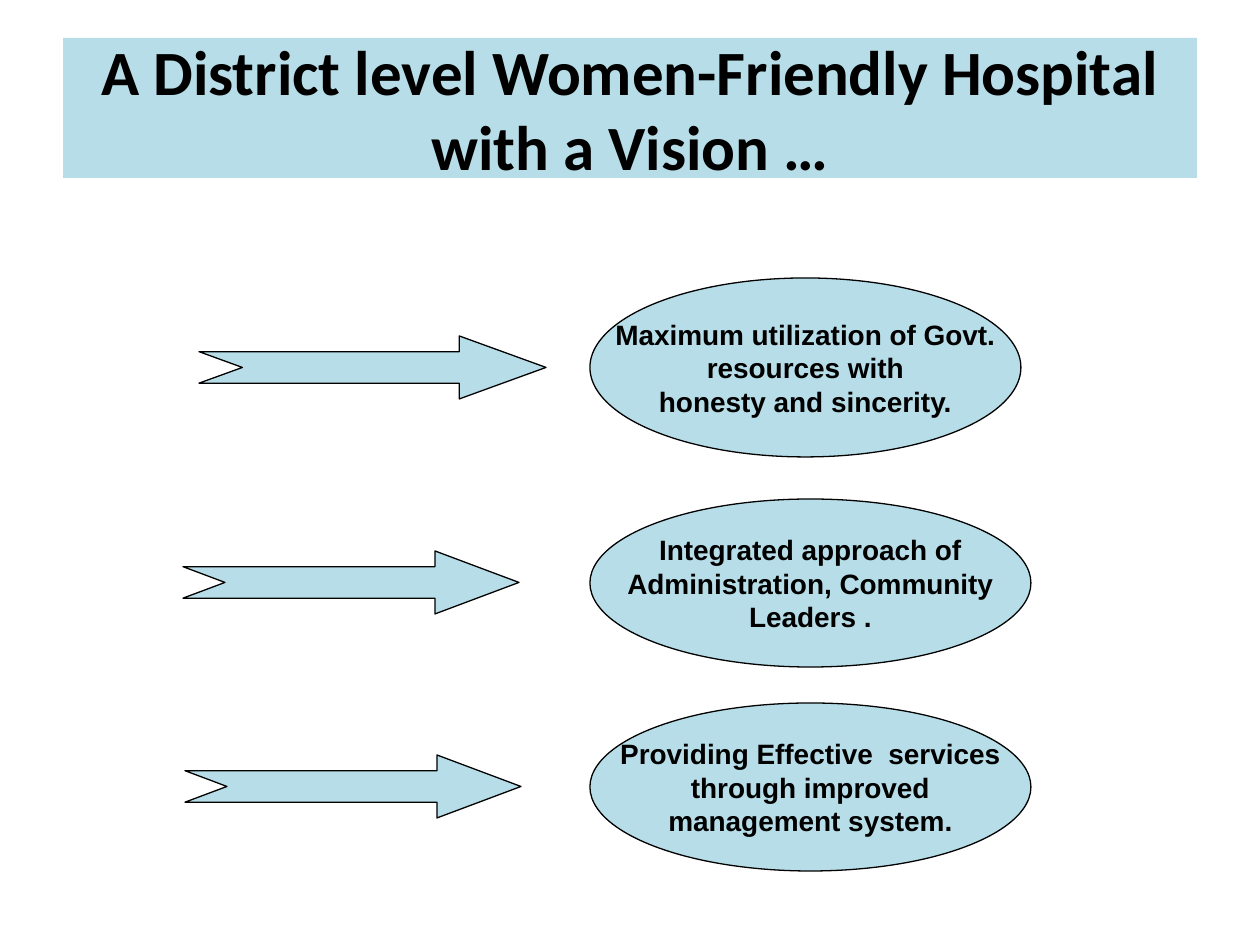
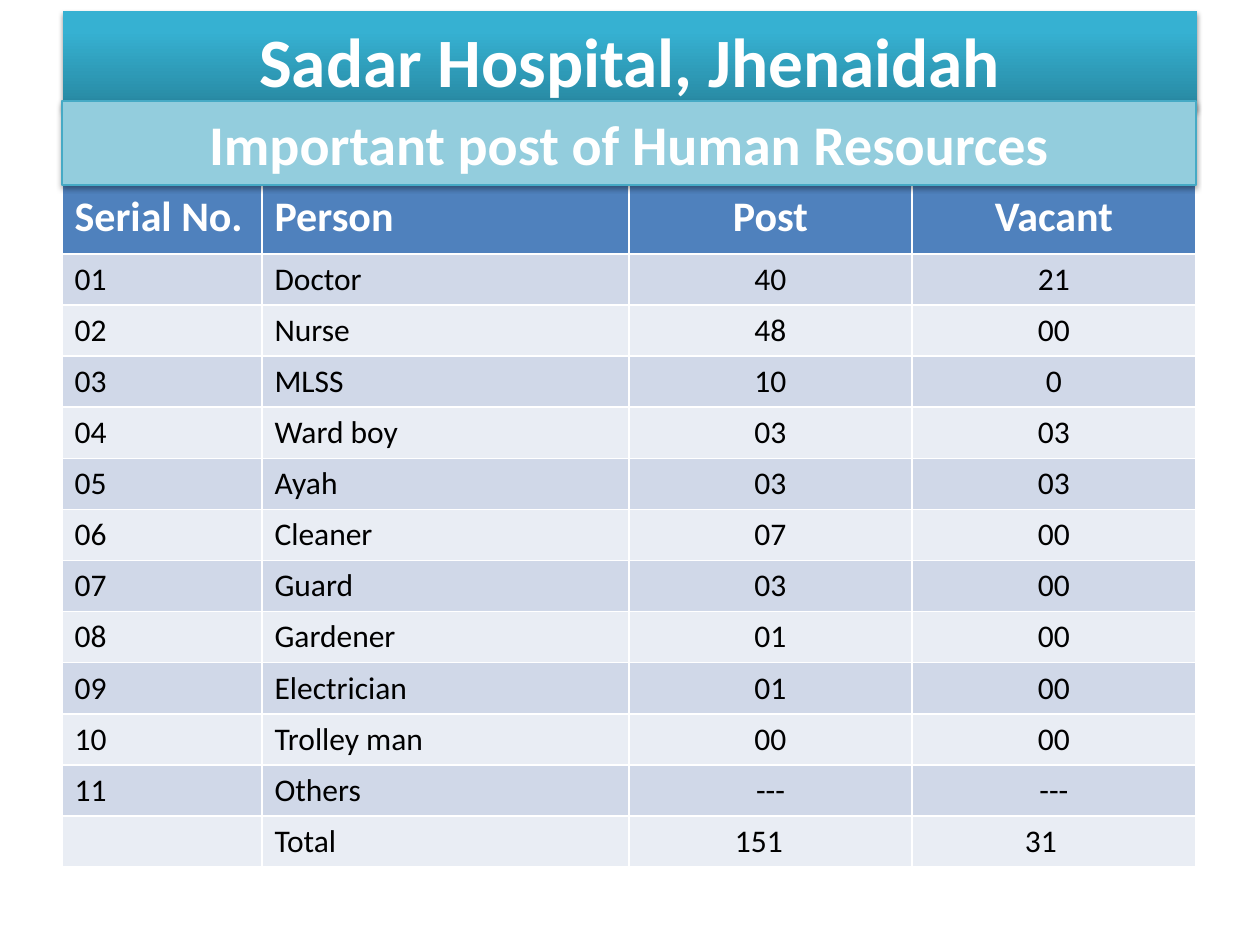
from lxml import etree
from pptx import Presentation
from pptx.dml.color import RGBColor
from pptx.enum.shapes import MSO_SHAPE
from pptx.enum.text import MSO_ANCHOR, MSO_AUTO_SIZE, PP_ALIGN
from pptx.oxml.ns import qn
from pptx.util import Inches, Pt

BLACK = RGBColor(0x00, 0x00, 0x00)
WHITE = RGBColor(0xFF, 0xFF, 0xFF)
PALE_AQUA = RGBColor(0xB7, 0xDE, 0xE8)
SOFT_AQUA = RGBColor(0x93, 0xCD, 0xDD)
AQUA_EDGE = RGBColor(0x46, 0xAA, 0xC5)
BRIGHT_AQUA = RGBColor(0x36, 0xB1, 0xD2)
DEEP_AQUA = RGBColor(0x27, 0x87, 0xA0)
HEADER_BLUE = RGBColor(0x4F, 0x81, 0xBD)
BANDS = RGBColor(0xD0, 0xD8, 0xE8), RGBColor(0xE9, 0xED, 0xF4)

PX = Inches(1) // 126
BAND_WIDTH = 1134

VISION_TITLE = "A District level Women-Friendly Hospital with a Vision …"
# Ellipse top, width and height; arrow left and width; lines of text
ELLIPSE_LEFT, ARROW_HEIGHT = 590, 63
GOALS = [
    ((278, 431, 179), (199, 347),
     ["Maximum utilization of Govt.", "resources with", "honesty and sincerity."]),
    ((499, 441, 168), (183, 336),
     ["Integrated approach of", "Administration, Community", "Leaders ."]),
    ((703, 441, 168), (185, 336),
     ["Providing Effective  services", "through improved", "management system."]),
]

STAFF_TITLE = "Sadar Hospital, Jhenaidah"
STAFF_SUBTITLE = "Important post of Human Resources"
COLUMN_WIDTHS = [200, 367, 283, 284]
HEADER_HEIGHT, ROW_HEIGHT = 69, 51
TOTAL_INDENTS = {2: 106, 3: 113}
STAFF = [
    ("Serial No.", "Person", "Post", "Vacant"),
    ("01", "Doctor", "40", "21"),
    ("02", "Nurse", "48", "00"),
    ("03", "MLSS", "10", "0"),
    ("04", "Ward boy", "03", "03"),
    ("05", "Ayah", "03", "03"),
    ("06", "Cleaner", "07", "00"),
    ("07", "Guard", "03", "00"),
    ("08", "Gardener", "01", "00"),
    ("09", "Electrician", "01", "00"),
    ("10", "Trolley man", "00", "00"),
    ("11", "Others", "---", "---"),
    ("", "Total", "151", "31"),
]


def px(*lengths):
    return [length * PX for length in lengths]


def write(frame, lines, size, color, font="Calibri", bold=True, align=PP_ALIGN.CENTER):
    frame.text = "\n".join(lines)
    for para in frame.paragraphs:
        para.alignment = align
        para.font.name = font
        para.font.size = Pt(size)
        para.font.bold = bold
        para.font.color.rgb = color


def add_titled_slide(deck, title, place, size, color):
    slide = deck.slides.add_slide(deck.slide_layouts[5])
    box = slide.shapes.title
    box.left, box.top, box.width, box.height = px(*place)
    write(box.text_frame, [title], size, color)
    box.text_frame.auto_size = MSO_AUTO_SIZE.NONE
    box.text_frame.vertical_anchor = MSO_ANCHOR.MIDDLE
    return slide


def add_shape(slide, kind, place, fill, line):
    shape = slide.shapes.add_shape(kind, *px(*place))
    shape.shadow.inherit = False
    shape.fill.solid()
    shape.fill.fore_color.rgb = fill
    shape.line.color.rgb = line
    shape.line.width = Pt(0.75)
    return shape


def drop_shadow(shape):
    shape.shadow.inherit = False
    effects = shape._element.spPr.find(qn("a:effectLst"))
    shadow = etree.SubElement(effects, qn("a:outerShdw"), blurRad=str(Pt(3.1)),
                              dist=str(Pt(1.6)), dir="5400000", rotWithShape="0")
    color = etree.SubElement(shadow, qn("a:srgbClr"), val="000000")
    etree.SubElement(color, qn("a:alpha"), val="38000")


def build_vision_slide(deck):
    slide = add_titled_slide(deck, VISION_TITLE, (63, 38, BAND_WIDTH, 140), 36, BLACK)
    slide.shapes.title.fill.solid()
    slide.shapes.title.fill.fore_color.rgb = PALE_AQUA
    for (top, width, height), (arrow_left, arrow_width), lines in GOALS:
        ellipse = add_shape(slide, MSO_SHAPE.OVAL, (ELLIPSE_LEFT, top, width, height),
                            PALE_AQUA, BLACK)
        write(ellipse.text_frame, lines, 16, BLACK, "Arial")
        ellipse.text_frame.word_wrap = False
        ellipse.text_frame.vertical_anchor = MSO_ANCHOR.MIDDLE
        arrow_top = top + (height - ARROW_HEIGHT) // 2
        arrow = add_shape(slide, MSO_SHAPE.NOTCHED_RIGHT_ARROW,
                          (arrow_left, arrow_top, arrow_width, ARROW_HEIGHT),
                          PALE_AQUA, BLACK)
        arrow.adjustments[1] = arrow_width / 4 / ARROW_HEIGHT


def add_staff_table(slide):
    height = HEADER_HEIGHT + ROW_HEIGHT * (len(STAFF) - 1)
    table = slide.shapes.add_table(len(STAFF), len(COLUMN_WIDTHS),
                                   *px(62, 185, BAND_WIDTH, height)).table
    for column, width in zip(table.columns, COLUMN_WIDTHS):
        column.width = width * PX
    for row, texts in enumerate(STAFF):
        header, total = row == 0, row == len(STAFF) - 1
        table.rows[row].height = (HEADER_HEIGHT if header else ROW_HEIGHT) * PX
        for column, text in enumerate(texts):
            cell = table.cell(row, column)
            cell.fill.solid()
            cell.fill.fore_color.rgb = HEADER_BLUE if header else BANDS[(row - 1) % 2]
            centred = column >= 2 and not total
            write(cell.text_frame, [text], 24 if header else 18,
                  WHITE if header else BLACK, bold=header,
                  align=PP_ALIGN.CENTER if centred else PP_ALIGN.LEFT)
            if total and column in TOTAL_INDENTS:
                cell.margin_left = TOTAL_INDENTS[column] * PX


def build_staff_slide(deck):
    slide = add_titled_slide(deck, STAFF_TITLE, (63, 11, BAND_WIDTH, 98), 39.6, WHITE)
    title = slide.shapes.title
    title.fill.gradient()
    title.fill.gradient_angle = 270
    upper, lower = title.fill.gradient_stops
    upper.color.rgb, upper.position = BRIGHT_AQUA, 0.2
    lower.color.rgb, lower.position = DEEP_AQUA, 1
    drop_shadow(title)
    add_staff_table(slide)
    subtitle = add_shape(slide, MSO_SHAPE.RECTANGLE, (62, 101, BAND_WIDTH, 84),
                         SOFT_AQUA, AQUA_EDGE)
    drop_shadow(subtitle)
    write(subtitle.text_frame, [STAFF_SUBTITLE], 32, WHITE)
    subtitle.text_frame.vertical_anchor = MSO_ANCHOR.MIDDLE


def main():
    deck = Presentation()
    deck.slide_width, deck.slide_height = Inches(10), Inches(7.5)
    build_vision_slide(deck)
    build_staff_slide(deck)
    deck.save("out.pptx")


if __name__ == "__main__":
    main()
